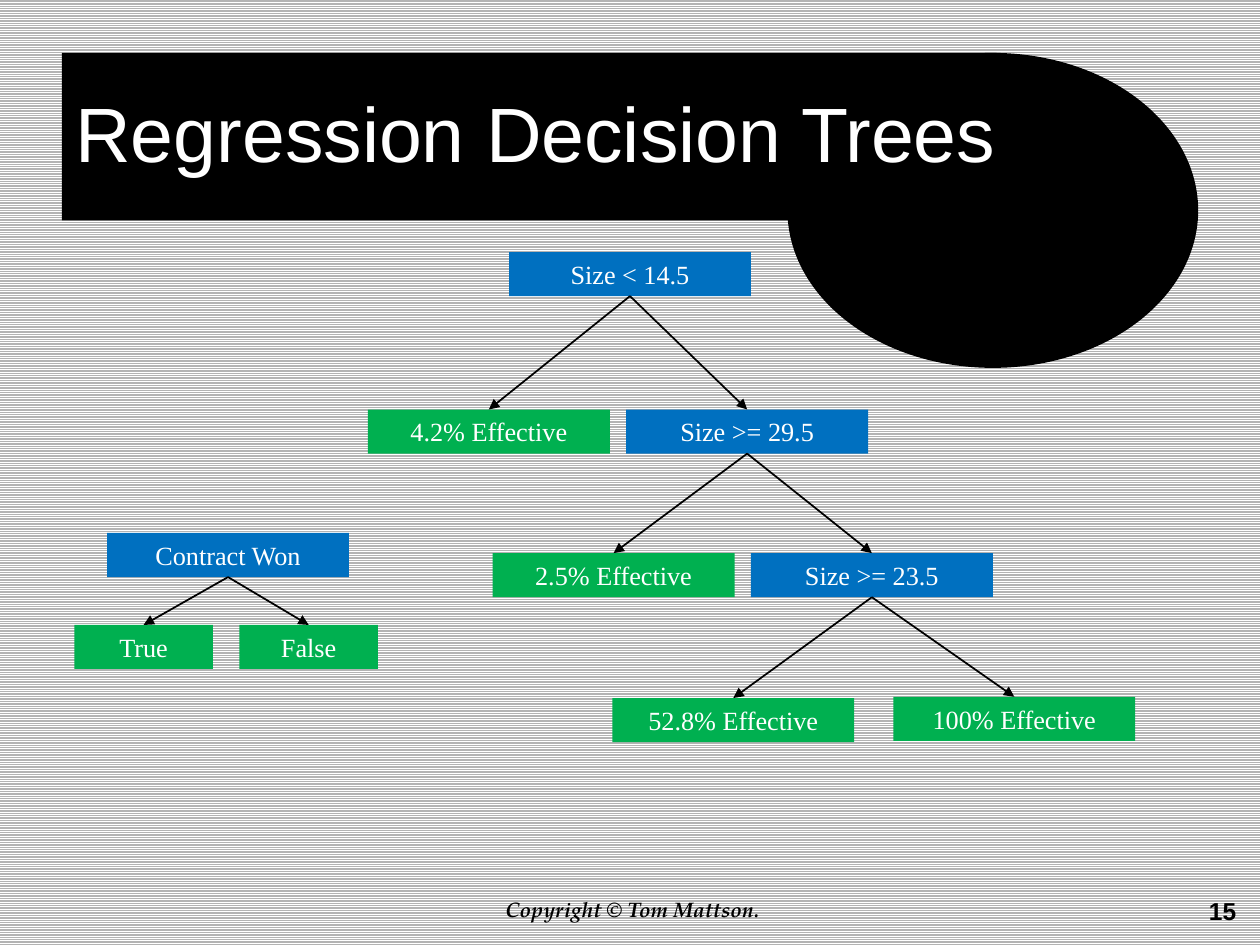
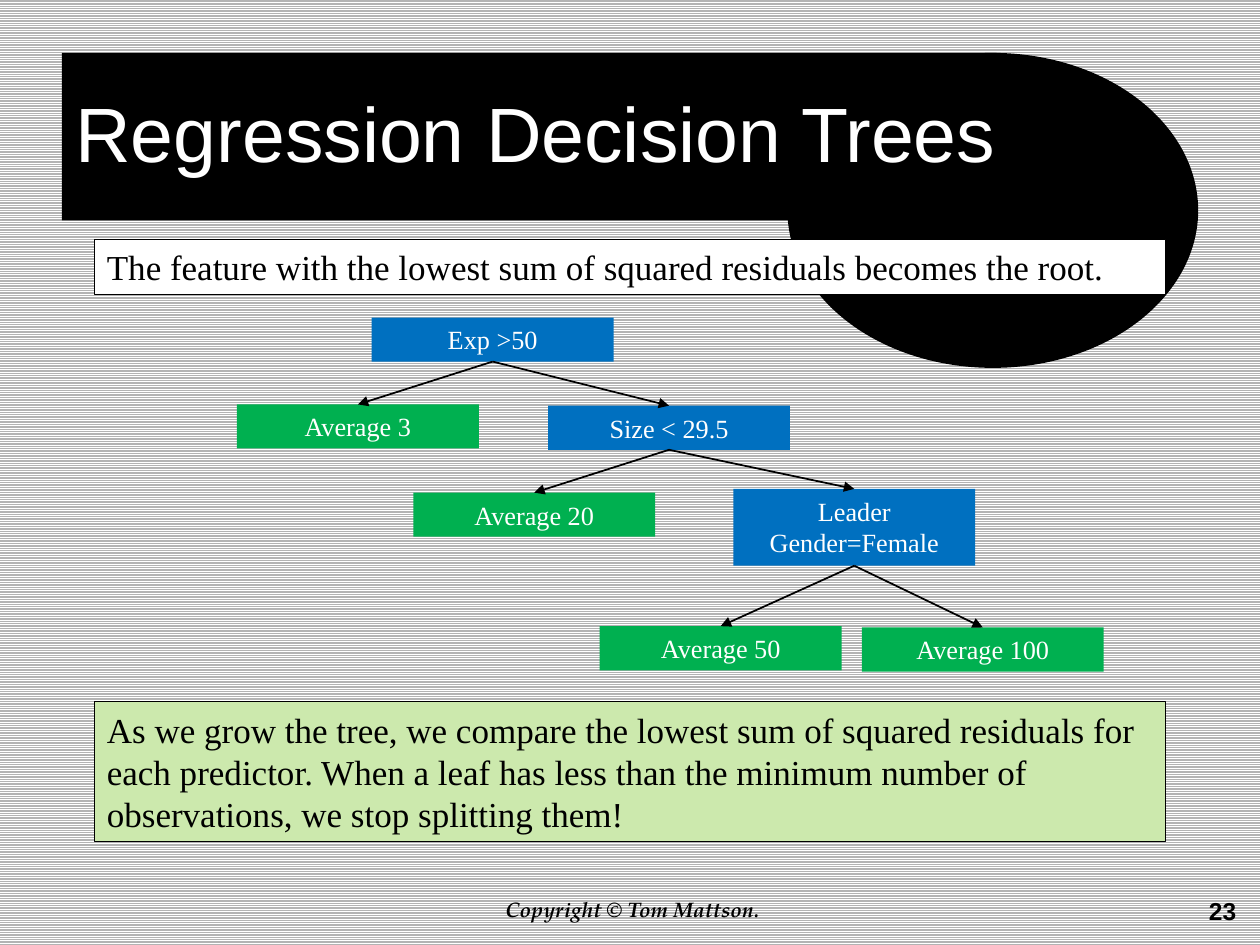
from dataclasses import dataclass

from lxml.etree import SubElement
from pptx import Presentation
from pptx.dml.color import RGBColor
from pptx.enum.dml import MSO_PATTERN
from pptx.enum.shapes import MSO_CONNECTOR, MSO_SHAPE
from pptx.enum.text import MSO_ANCHOR, PP_ALIGN
from pptx.oxml.ns import qn
from pptx.util import Inches, Pt

TITLE = "Regression Decision Trees"
COPYRIGHT = "Copyright © Tom Mattson. "

# label, left, top, children


def split(label, left, top, *children):
    return label, left, top, children


def leaf(label, left, top):
    return label, left, top, ()


EFFECTIVENESS_TREE = split(
    "Size < 14.5", 4.04, 2,
    leaf("4.2% Effective", 2.92, 3.25),
    split("Size >= 29.5", 4.97, 3.25,
          leaf("2.5% Effective", 3.91, 4.39),
          split("Size >= 23.5", 5.96, 4.39,
                leaf("52.8% Effective", 4.86, 5.54),
                leaf("100% Effective", 7.09, 5.53))))
CONTRACT_LEGEND = split(
    "Contract Won", 0.85, 4.23,
    leaf("True", 0.59, 4.96),
    leaf("False", 1.9, 4.96))
AVERAGE_TREE = split(
    "Exp >50", 2.95, 2.52,
    leaf("Average 3", 1.88, 3.21),
    split("Size < 29.5", 4.35, 3.22,
          leaf("Average 20", 3.28, 3.91),
          split("Leader Gender=Female", 5.82, 3.88,
                leaf("Average 50", 4.76, 4.97),
                leaf("Average 100", 6.84, 4.98))))

SLIDES = [
    {"number": "15", "notes": [],
     "trees": [(EFFECTIVENESS_TREE, 1.92), (CONTRACT_LEGEND, 1.1)]},
    {"number": "23",
     "notes": [
         ("The feature with the lowest sum of squared residuals becomes the root.",
          1.9, 0.44, "FFFFFF"),
         ("As we grow the tree, we compare the lowest sum of squared residuals for "
          "each predictor. When a leaf has less than the minimum number of "
          "observations, we stop splitting them!", 5.57, 1.11, "CCE9AD")],
     "trees": [(AVERAGE_TREE, 1.92)]},
]

SPLIT_WIDTH = 1.92
NODE_HEIGHT = 0.35
TALL_NODE_HEIGHT = 0.61
LONGEST_SINGLE_LINE = 16


@dataclass(frozen=True)
class Theme:
    black: str = "000000"
    white: str = "FFFFFF"
    stripe: str = "B3B3B3"
    split: str = "0070C0"
    leaf: str = "00B050"
    heading_font: str = "Arial"
    body_font: str = "Times New Roman"
    copyright_font: str = "TeX Gyre Pagella"
    title_size: int = 44
    note_size: int = 20
    node_size: int = 15
    number_size: int = 14
    copyright_size: int = 12


THEME = Theme()


def color(value):
    return RGBColor.from_string(value)


def write(holder, text, font, size, ink, align=PP_ALIGN.LEFT,
          anchor=MSO_ANCHOR.TOP, bold=False, italic=False):
    frame = holder.text_frame
    frame.word_wrap = True
    frame.vertical_anchor = anchor
    paragraph = frame.paragraphs[0]
    paragraph.alignment = align
    run = paragraph.add_run()
    run.text = text
    run.font.name = font
    run.font.size = Pt(size)
    run.font.color.rgb = color(ink)
    run.font.bold = bold
    run.font.italic = italic


def add_label(slide, box, *args, **style):
    write(slide.shapes.add_textbox(*map(Inches, box)), *args, **style)


def add_block(slide, kind, box, fill, outline=None):
    block = slide.shapes.add_shape(kind, *map(Inches, box))
    block.shadow.inherit = False
    block.fill.solid()
    block.fill.fore_color.rgb = color(fill)
    if outline:
        block.line.color.rgb = color(outline)
        block.line.width = Pt(0.75)
    else:
        block.line.fill.background()
    return block


def add_arrow(slide, parent, child):
    arrow = slide.shapes.add_connector(MSO_CONNECTOR.STRAIGHT, 0, 0, 0, 0)
    arrow.begin_connect(parent, 2)
    arrow.end_connect(child, 0)
    arrow.line.color.rgb = color(THEME.black)
    arrow.line.width = Pt(1)
    SubElement(arrow.line._get_or_add_ln(), qn("a:tailEnd"), type="triangle")
    SubElement(arrow._element.spPr, qn("a:effectLst"))


def add_tree(slide, tree, leaf_width):
    label, left, top, children = tree
    width = SPLIT_WIDTH if children else leaf_width
    height = TALL_NODE_HEIGHT if len(label) > LONGEST_SINGLE_LINE else NODE_HEIGHT
    node = add_block(slide, MSO_SHAPE.RECTANGLE, (left, top, width, height),
                     THEME.split if children else THEME.leaf)
    write(node, label, THEME.body_font, THEME.node_size, THEME.white,
          align=PP_ALIGN.CENTER)
    for child in children:
        add_arrow(slide, node, add_tree(slide, child, leaf_width))
    return node


def add_frame(slide, number):
    background = slide.background.fill
    background.patterned()
    background.pattern = MSO_PATTERN.NARROW_HORIZONTAL
    background.fore_color.rgb = color(THEME.white)
    background.back_color.rgb = color(THEME.stripe)
    add_block(slide, MSO_SHAPE.RECTANGLE, (0.49, 0.42, 7.42, 1.33), THEME.black)
    add_block(slide, MSO_SHAPE.OVAL, (6.25, 0.42, 3.26, 2.5), THEME.black)
    add_label(slide, (7.56, 7.06, 2.35, 0.33), number, THEME.heading_font,
              THEME.number_size, THEME.black, align=PP_ALIGN.RIGHT, bold=True)
    add_label(slide, (2.5, 7.07, 5.08, 0.3), COPYRIGHT, THEME.copyright_font,
              THEME.copyright_size, THEME.black, align=PP_ALIGN.CENTER,
              bold=True, italic=True)
    add_label(slide, (0.5, 0.42, 8.75, 1.25), TITLE, THEME.heading_font,
              THEME.title_size, THEME.white, anchor=MSO_ANCHOR.MIDDLE)


def main():
    deck = Presentation()
    deck.slide_width, deck.slide_height = Inches(10), Inches(7.5)
    for content in SLIDES:
        slide = deck.slides.add_slide(deck.slide_layouts[6])
        add_frame(slide, content["number"])
        for text, top, height, fill in content["notes"]:
            note = add_block(slide, MSO_SHAPE.RECTANGLE, (0.75, top, 8.5, height),
                             fill, THEME.black)
            write(note, text, THEME.body_font, THEME.note_size, THEME.black)
        for tree, leaf_width in content["trees"]:
            add_tree(slide, tree, leaf_width)
    deck.save("out.pptx")


if __name__ == "__main__":
    main()
